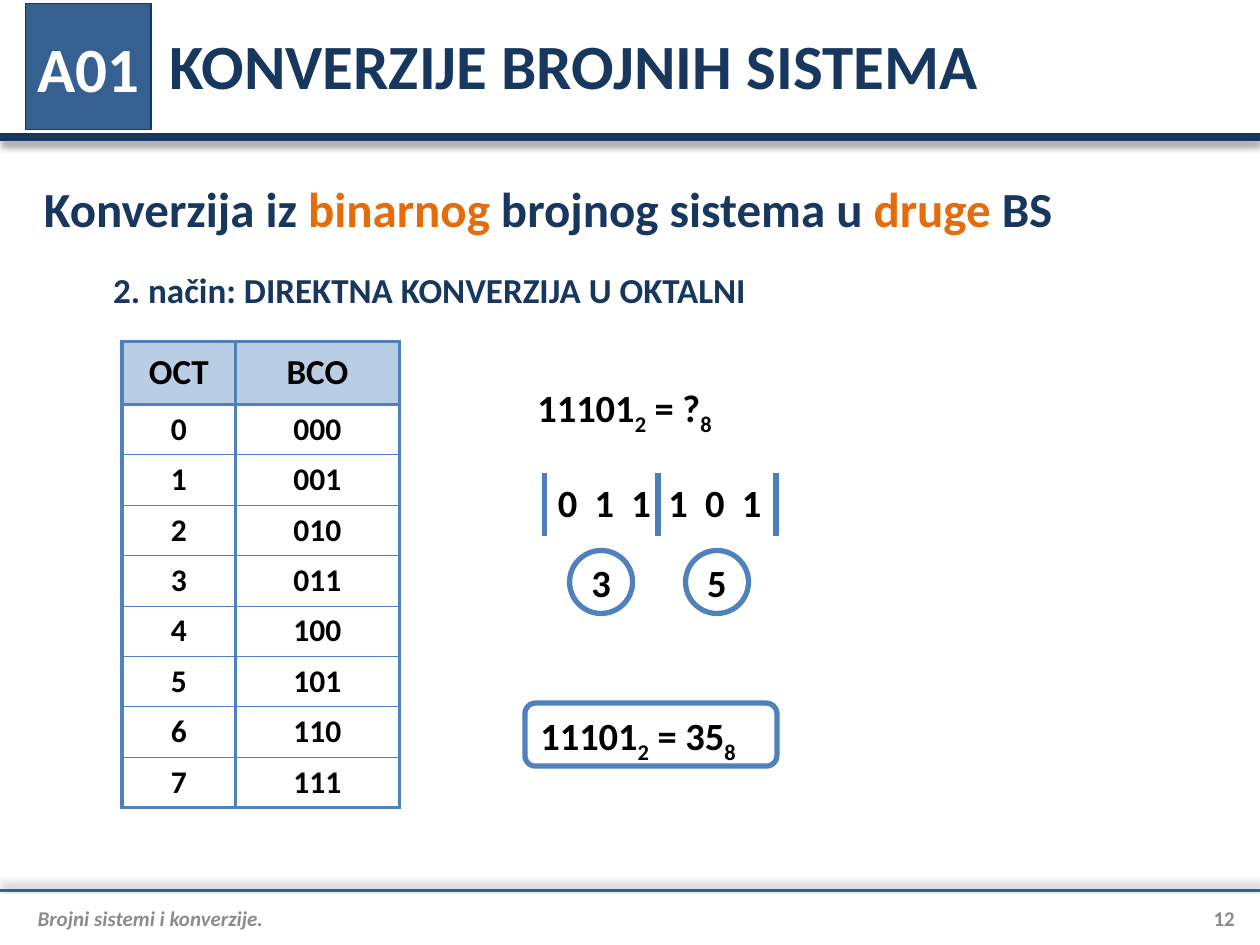
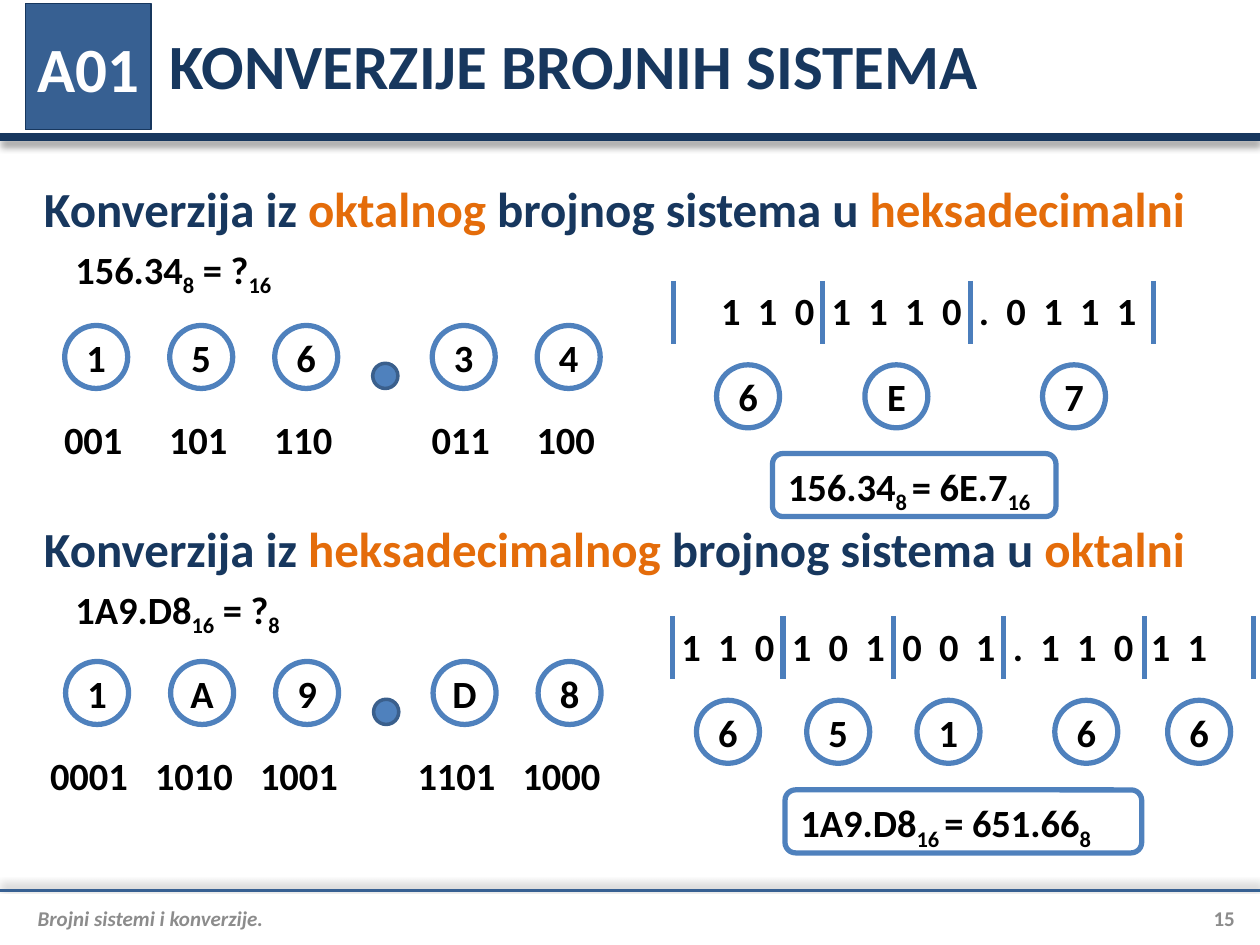
from lxml import etree
from pptx import Presentation
from pptx.dml.color import RGBColor
from pptx.enum import shapes, text
from pptx.oxml import ns
from pptx.util import Pt

HUES = {
    "navy": "17375E", "badge": "376092", "blue": "4F81BD", "tick": "4B7EBC",
    "edge": "3A5F8C", "pale": "B9CDE5", "warm": "E46C0A", "gray": "8C8C8C",
    "black": "000000", "white": "FFFFFF",
}
FONT = "Calibri"
WIDE, HIGH = 720, 540
DISC, TALL, PITCH = 36, 36, 60
LEFT, MID, RIGHT = text.PP_ALIGN.LEFT, text.PP_ALIGN.CENTER, text.PP_ALIGN.RIGHT
SHAPE = shapes.MSO_SHAPE


def hue(name):
    return RGBColor.from_string(HUES[name])


def node(top, tag, **attrs):
    return etree.SubElement(top, ns.qn(tag), attrs)


def add_run(para, words, size, color="black", slant=False, sub=False, gap=0):
    run = para.add_run()
    run.text = words
    font = run.font
    font.name, font.size, font.bold = FONT, Pt(size), True
    font.color.rgb = hue(color)
    if slant:
        font.italic = True
    props = run._r.get_or_add_rPr()
    if sub:
        props.set("baseline", "-25000")
    if gap:
        props.set("spc", str(round(gap * 100)))


def set_frame(shape, pads=(7.2, 3.6, 7.2, 3.6), middle=True, align=LEFT):
    frame = shape.text_frame
    frame.word_wrap = True
    frame.margin_left, frame.margin_top, frame.margin_right, frame.margin_bottom = map(Pt, pads)
    frame.vertical_anchor = text.MSO_ANCHOR.MIDDLE if middle else text.MSO_ANCHOR.TOP
    para = frame.paragraphs[0]
    para.alignment = align
    return para


def add_text(slide, box, **style):
    return set_frame(slide.shapes.add_textbox(*map(Pt, box)), **style)


def add_form(slide, kind, box, fill=None, line="blue", width=3):
    form = slide.shapes.add_shape(kind, *map(Pt, box))
    form.shadow.inherit = False
    if fill:
        form.fill.solid()
        form.fill.fore_color.rgb = hue(fill)
    else:
        form.fill.background()
    form.line.color.rgb = hue(line)
    form.line.width = Pt(width)
    return form


def add_line(slide, start, end, color, width, angle=None):
    line = slide.shapes.add_connector(shapes.MSO_CONNECTOR.STRAIGHT, *map(Pt, start + end))
    line.line.color.rgb = hue(color)
    line.line.width = Pt(width)
    effects = node(line._element.spPr, "a:effectLst")
    if angle:
        shade = node(effects, "a:outerShdw", blurRad=str(Pt(4)), dist=str(Pt(3)),
                     dir=str(angle * 60000), algn="ctr", rotWithShape="0")
        node(node(shade, "a:srgbClr", val=HUES["black"]), "a:alpha", val="40000")


def add_base(slide, number):
    add_line(slide, (0, 78.5), (WIDE, 78.5), "navy", 4.5, 90)
    add_line(slide, (0, 509), (WIDE, 509), "badge", 1.5, 270)
    para = add_text(slide, (90, 0.7, 615.6, 72))
    add_run(para, "KONVERZIJE BROJNIH SISTEMA", 36, "navy")
    badge = add_form(slide, SHAPE.RECTANGLE, (14.4, 2.2, 72, 72), "badge", "navy", 0.75)
    para = set_frame(badge, pads=(0, 0, 0, 0), align=MID)
    para.space_before = Pt(7)
    add_run(para, "A01", 36, "white")
    para = add_text(slide, (14.4, 512, 655, 25), pads=(7.2, 0, 0, 0))
    add_run(para, "Brojni sistemi i konverzije.", 12, "gray", slant=True)
    para = add_text(slide, (669.6, 512, 36, 25), pads=(0, 0, 0, 0), align=RIGHT)
    add_run(para, str(number), 12, "gray")


def add_head(slide, box, parts):
    para = add_text(slide, box)
    for i, part in enumerate(parts):
        add_run(para, part, 28, "warm" if i % 2 else "navy")


def add_sums(para, parts):
    for i, part in enumerate(parts):
        add_run(para, part, 22, sub=i % 2 == 1)


def add_task(slide, box, parts):
    add_sums(add_text(slide, box, middle=False), parts)


def add_answer(slide, box, parts):
    form = add_form(slide, SHAPE.FLOWCHART_ALTERNATE_PROCESS, box)
    add_sums(set_frame(form, middle=False), parts)


def add_disc(slide, left, top, sign):
    disc = add_form(slide, SHAPE.OVAL, (left, top, DISC, DISC))
    add_run(set_frame(disc, pads=(0, 0, 0, 0), align=MID), sign, 22)


def add_codes(slide, left, top, pairs, whole=3):
    for i, (sign, code) in enumerate(pairs):
        x = left + PITCH * (i + (0.5 if i >= whole else 0))
        add_disc(slide, x, top, sign)
        width = 17 * len(code)
        box = (x + (DISC - width) / 2, top + 48, width, TALL)
        add_run(add_text(slide, box, middle=False), code, 22)
    x = left + PITCH * (whole - 1) + 56
    add_form(slide, SHAPE.OVAL, (x, top + 21.6, 14.4, 14.4), "blue", "edge", 2)


def add_groups(slide, left, top, bits, inset, ticks, signs, drop=48, point=None):
    box = (left + inset, top, ticks[-1] + 12, TALL)
    add_run(add_text(slide, box, middle=False), " ".join(bits), 22, gap=2.5)
    for tick in ticks:
        add_line(slide, (left + tick, top), (left + tick, top + TALL), "tick", 3)
    for i, sign in enumerate(signs):
        center = left + (ticks[i] + ticks[i + 1]) / 2 + (7 if i == point else 0)
        add_disc(slide, center - DISC / 2, top + drop, sign)


def set_cell(cell, words, first, last):
    thin = 0.25
    props = cell._tc.get_or_add_tcPr()
    sides = {"L": 2.25, "R": 2.25, "T": thin, "B": 2.25 if first or last else thin}
    if first or words in ("0", "000"):
        sides["T"] = 2.25
    for side, width in sides.items():
        edge = node(props, "a:ln" + side, w=str(Pt(width)))
        node(node(edge, "a:solidFill"), "a:srgbClr", val=HUES["blue"])
    if first:
        cell.fill.solid()
        cell.fill.fore_color.rgb = hue("pale")
    else:
        cell.fill.background()
    pad = Pt(3.6 if first else 0)
    cell.margin_left = cell.margin_right = cell.margin_top = cell.margin_bottom = pad
    cell.vertical_anchor = text.MSO_ANCHOR.MIDDLE
    para = cell.text_frame.paragraphs[0]
    para.alignment = MID
    add_run(para, words, 20 if first else 18)


def add_grid(slide, box):
    rows = [("OCT", "BCO")] + [(str(n), f"{n:03b}") for n in range(8)]
    grid = slide.shapes.add_table(len(rows), 2, *map(Pt, box)).table
    grid.first_row = grid.horz_banding = False
    for col, width in zip(grid.columns, (64.8, 93.6)):
        col.width = Pt(width)
    for i, row in enumerate(rows):
        grid.rows[i].height = Pt(28.8 if i else 36)
        for j, words in enumerate(row):
            set_cell(grid.cell(i, j), words, i == 0, i == len(rows) - 1)


def add_octal(slide):
    add_base(slide, 12)
    add_head(slide, (18, 100.8, 606, TALL),
             ("Konverzija iz ", "binarnog", " brojnog sistema u ", "druge", " BS"))
    para = add_text(slide, (57.6, 147.6, 378, TALL))
    add_run(para, "2. način: DIREKTNA KONVERZIJA U OKTALNI", 20, "navy")
    add_grid(slide, (69.8, 195, 158.4, 266.4))
    add_task(slide, (300, 216, 126, TALL), ("11101", "2", " = ?", "8"))
    add_groups(slide, 311, 270, "011101", 0.7, (0, 65, 132.5), "35", drop=44.6)
    add_answer(slide, (300, 401.8, 144, TALL), ("11101", "2", " = 35", "8"))


def add_mixed(slide):
    add_base(slide, 15)
    add_head(slide, (18, 100.8, 678, TALL),
             ("Konverzija iz ", "oktalnog", " brojnog sistema u ", "heksadecimalni"))
    add_task(slide, (36, 136.8, 144, TALL), ("156.34", "8", " = ?", "16"))
    add_codes(slide, 37, 186, list(zip("15634", ("001", "101", "110", "011", "100"))))
    add_groups(slide, 385, 160.5, "1101110.0111", 20, (0, 85, 169.5, 274), "6E7", point=2)
    add_answer(slide, (441.4, 259.2, 162, TALL), ("156.34", "8 ", "= 6E.7", "16"))
    add_head(slide, (18, 295.2, 678, TALL),
             ("Konverzija iz ", "heksadecimalnog", " brojnog sistema u ", "oktalni"))
    add_task(slide, (36, 331.2, 144, TALL), ("1A9.D8", "16", " = ?", "8"))
    add_codes(slide, 37.5, 378,
              list(zip("1A9D8", ("0001", "1010", "1001", "1101", "1000"))))
    add_groups(slide, 384.5, 352.2, "110101001.11011", -2.2,
               (0, 63, 126, 189, 269.5, 332), "65166", point=3)
    add_answer(slide, (448.6, 451.4, 203.8, TALL), ("1A9.D8", "16 ", "= 651.66", "8"))


def main():
    deck = Presentation()
    deck.slide_width, deck.slide_height = Pt(WIDE), Pt(HIGH)
    for build in (add_octal, add_mixed):
        build(deck.slides.add_slide(deck.slide_layouts[6]))
    deck.save("out.pptx")


if __name__ == "__main__":
    main()
